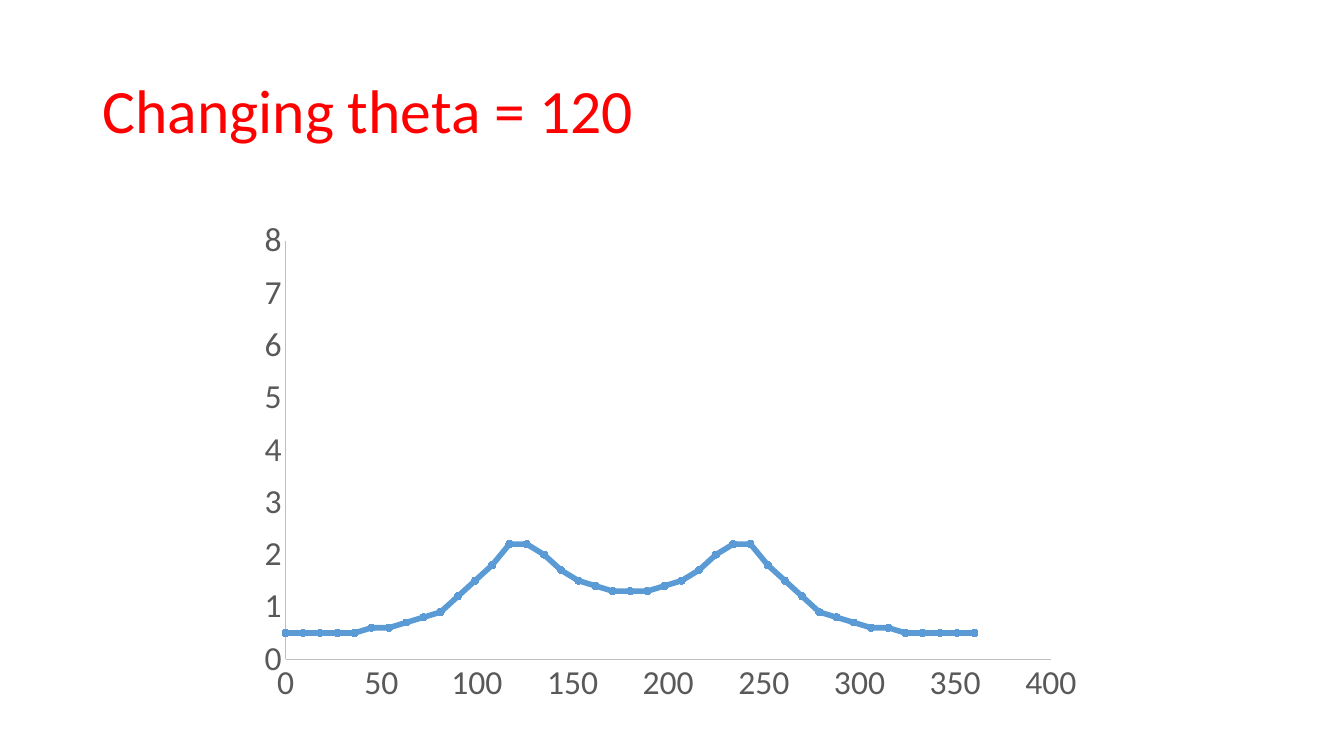
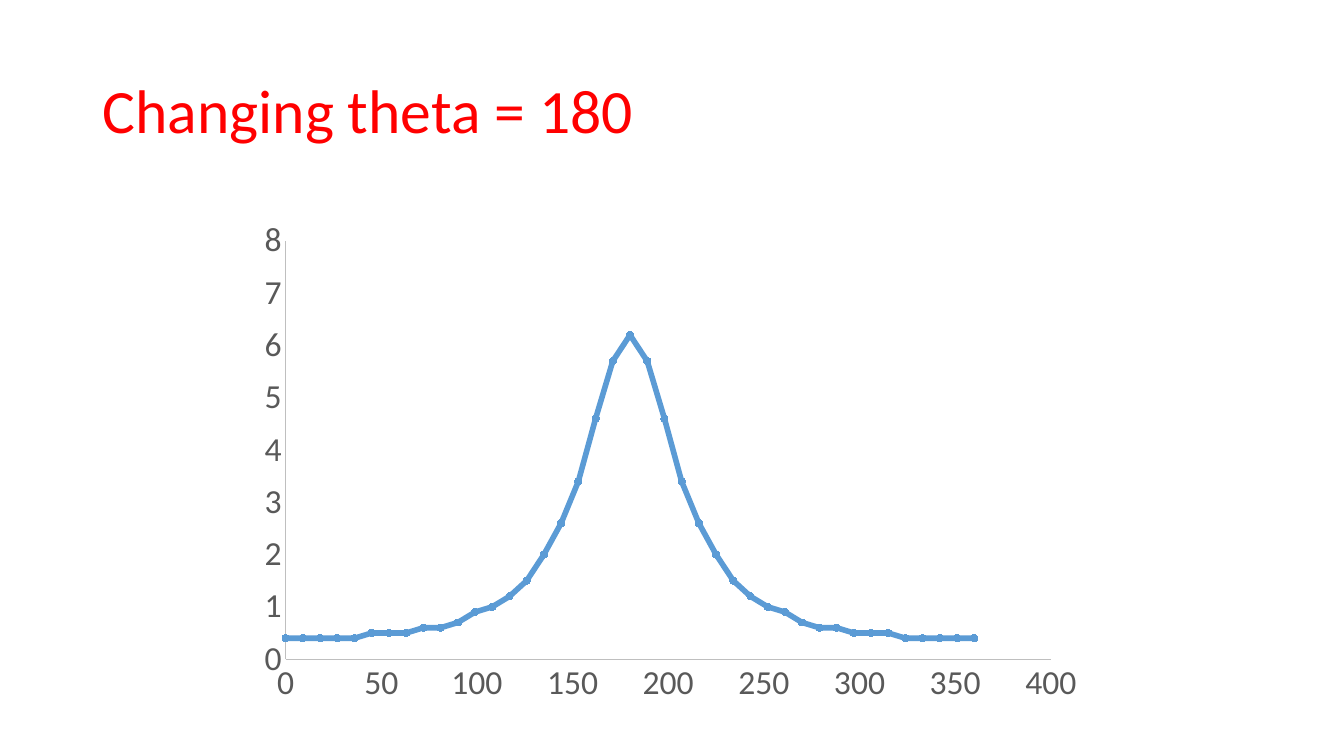
from pptx import Presentation
from pptx.chart.data import XyChartData
from pptx.dml.color import RGBColor
from pptx.enum.chart import XL_CHART_TYPE, XL_MARKER_STYLE, XL_TICK_MARK
from pptx.enum.text import MSO_ANCHOR
from pptx.oxml import parse_xml
from pptx.oxml.ns import nsdecls, qn
from pptx.util import Pt

PX = 9144
FONT = "Calibri"
RED, BLUE, GREY, RULE = "FF0000", "5B9BD5", "595959", "BFBFBF"
PLOT = {"x": 0.04, "y": 0.06, "w": 0.91, "h": 0.83}
STEP = 9
HALVES = {
    120: [0.5, 0.5, 0.5, 0.5, 0.5, 0.6, 0.6, 0.7, 0.8, 0.9, 1.2,
          1.5, 1.8, 2.2, 2.2, 2, 1.7, 1.5, 1.4, 1.3, 1.3],
    180: [0.4, 0.4, 0.4, 0.4, 0.4, 0.5, 0.5, 0.5, 0.6, 0.6, 0.7,
          0.9, 1, 1.2, 1.5, 2, 2.6, 3.4, 4.6, 5.7, 6.2],
}


def color(code):
    return RGBColor.from_string(code)


def place(*box):
    return [n * PX for n in box]


deck = Presentation()
deck.slide_width, deck.slide_height = place(1333, 750)

for theta, half in HALVES.items():
    slide = deck.slides.add_slide(deck.slide_layouts[6])

    frame = slide.shapes.add_textbox(*place(92, 40, 1150, 145)).text_frame
    frame.word_wrap = True
    frame.vertical_anchor = MSO_ANCHOR.MIDDLE
    title = frame.paragraphs[0]
    title.line_spacing = 0.9
    run = title.add_run()
    run.text = f"Changing theta = {theta}"
    run.font.name = FONT
    run.font.size = Pt(44)
    run.font.color.rgb = color(RED)

    data = XyChartData()
    points = data.add_series("Series 1")
    for i, value in enumerate(half + half[-2::-1]):
        points.add_data_point(i * STEP, value)
    chart = slide.shapes.add_chart(
        XL_CHART_TYPE.XY_SCATTER_SMOOTH, *place(250, 209, 834, 500), data
    ).chart
    chart.has_legend = False
    chart.has_title = False
    chart.font.name = FONT
    chart.font.size = Pt(10)

    for axis, top, unit in (
        (chart.category_axis, 400, 50),
        (chart.value_axis, 8, 1),
    ):
        axis.minimum_scale = 0
        axis.maximum_scale = top
        axis.major_unit = unit
        axis.has_major_gridlines = False
        axis.major_tick_mark = XL_TICK_MARK.NONE
        axis.minor_tick_mark = XL_TICK_MARK.NONE
        axis.format.line.color.rgb = color(RULE)
        axis.format.line.width = Pt(0.75)
        labels = axis.tick_labels
        labels.number_format = "General"
        labels.number_format_is_linked = False
        labels.font.name = FONT
        labels.font.size = Pt(24)
        labels.font.color.rgb = color(GREY)

    plot = chart.plots[0]
    plot.vary_by_categories = False
    curve = plot.series[0]
    curve.smooth = True
    curve.format.line.color.rgb = color(BLUE)
    curve.format.line.width = Pt(4)
    marker = curve.marker
    marker.style = XL_MARKER_STYLE.CIRCLE
    marker.size = 5
    marker.format.fill.solid()
    marker.format.fill.fore_color.rgb = color(BLUE)
    marker.format.line.color.rgb = color(BLUE)

    area = chart.element.find(".//" + qn("c:plotArea"))
    for old in area.findall(qn("c:layout")):
        area.remove(old)
    sizes = "".join(f'<c:{key} val="{val}"/>' for key, val in PLOT.items())
    area.insert(0, parse_xml(
        f'<c:layout {nsdecls("c")}><c:manualLayout>'
        '<c:layoutTarget val="inner"/><c:xMode val="edge"/><c:yMode val="edge"/>'
        f'{sizes}</c:manualLayout></c:layout>'
    ))

deck.save("out.pptx")
